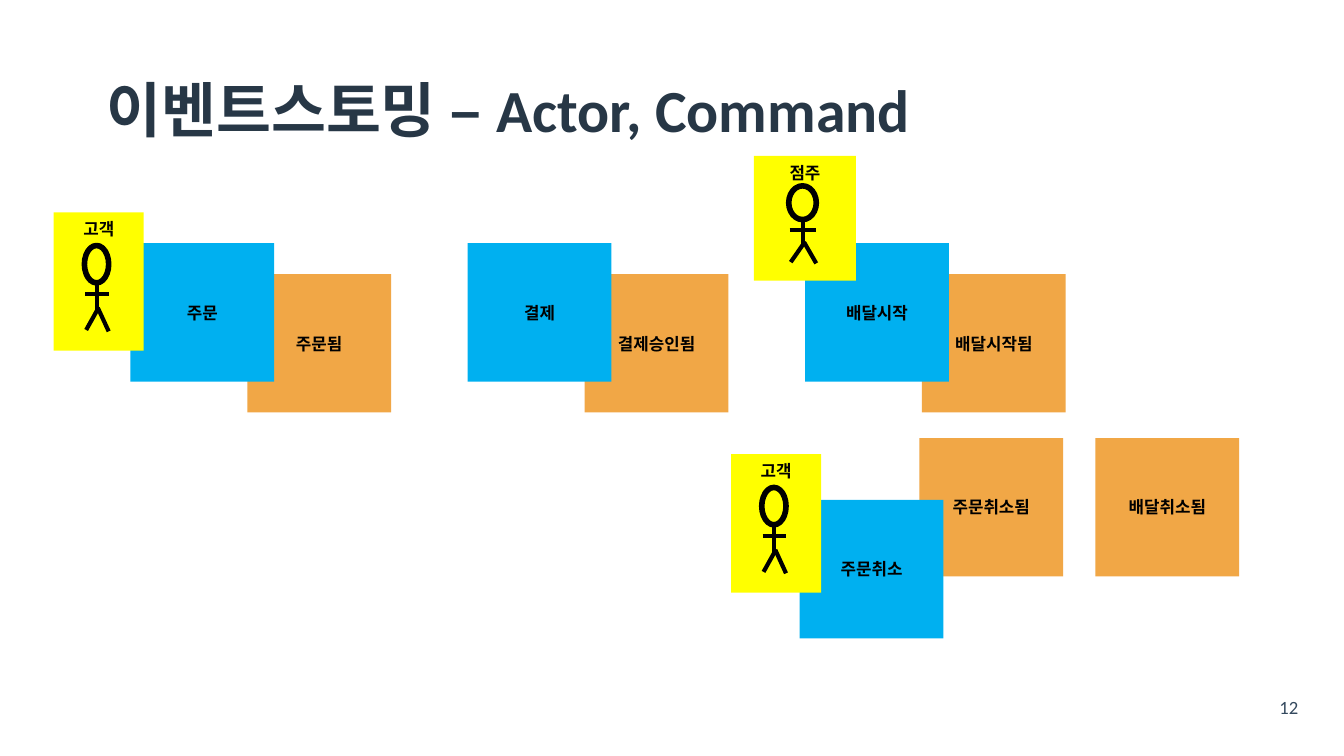
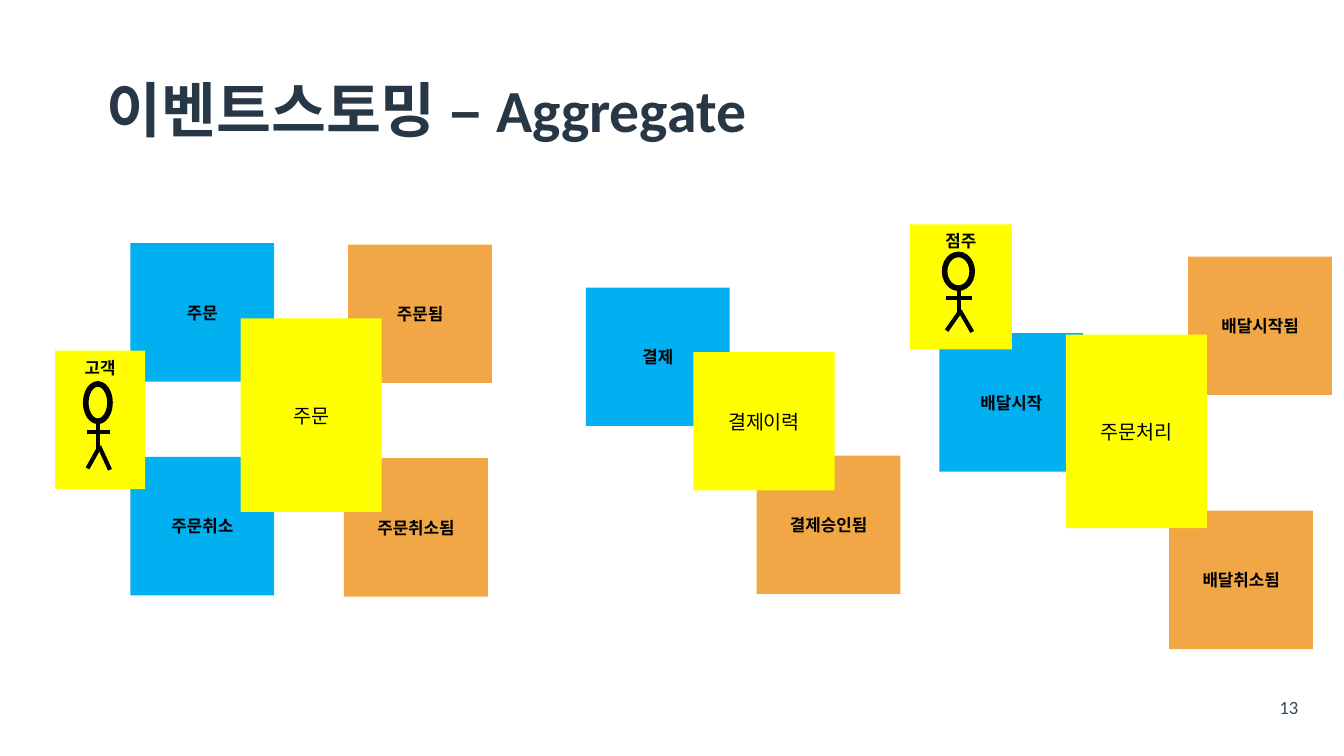
from dataclasses import dataclass

from lxml.etree import SubElement
from pptx import Presentation
from pptx.dml.color import RGBColor
from pptx.enum.shapes import MSO_CONNECTOR, MSO_SHAPE
from pptx.enum.text import MSO_ANCHOR, MSO_AUTO_SIZE, PP_ALIGN
from pptx.oxml.ns import qn
from pptx.presentation import Presentation as Deck
from pptx.shapes.shapetree import GroupShapes, SlideShapes
from pptx.slide import Slide
from pptx.text.text import _Paragraph as Paragraph
from pptx.util import Inches, Pt


@dataclass(frozen=True)
class Theme:
    ink: str = "000000"
    title_ink: str = "273746"
    number_ink: str = "34495E"
    event: str = "F1A746"
    command: str = "00B0F0"
    yellow: str = "FFFF00"
    latin: str = "Calibri"
    korean: str = "Noto Sans CJK KR"
    title_size: float = 32
    note_size: float = 9
    aggregate_size: float = 10.5
    number_size: float = 10
    head_line: float = 3
    limb_line: float = 2.25


THEME = Theme()


@dataclass(frozen=True)
class NoteStyle:
    fill: str
    width: float = 1.07
    height: float = 1.03
    size: float = THEME.note_size
    bold: bool = True
    anchor: MSO_ANCHOR = MSO_ANCHOR.MIDDLE
    figure: bool = False


@dataclass(frozen=True)
class Note:
    text: str
    left: float
    top: float
    style: NoteStyle


@dataclass(frozen=True)
class Board:
    title: str
    notes: list[Note]


FIRST_NUMBER = 12

EVENT = NoteStyle(THEME.event)
COMMAND = NoteStyle(THEME.command)
CUSTOMER = NoteStyle(THEME.yellow, 0.67, anchor=MSO_ANCHOR.TOP, figure=True)
OWNER = NoteStyle(THEME.yellow, 0.76, 0.93, anchor=MSO_ANCHOR.TOP, figure=True)
AGGREGATE = NoteStyle(THEME.yellow, 1.05, 1.44, THEME.aggregate_size, False)
SHORT_AGGREGATE = NoteStyle(THEME.yellow, 1.05, 1.03, THEME.aggregate_size, False)

HEAD = (0.34, 0.24, 0.27, 0.27)
LIMBS = [
    (0.35, 0.59, 0.61, 0.59),
    (0.48, 0.51, 0.48, 0.72),
    (0.48, 0.71, 0.36, 0.85),
    (0.49, 0.69, 0.61, 0.86),
]


def flow(labels: list[str], left: float, top: float, style: NoteStyle) -> list[Note]:
    return [Note(text, left + 2.51 * i, top, style) for i, text in enumerate(labels)]


BOARDS = [
    Board("이벤트스토밍 – Actor, Command", [
        *flow(["주문됨", "결제승인됨", "배달시작됨"], 1.84, 2.04, EVENT),
        Note("배달취소됨", 8.15, 3.26, EVENT),
        Note("주문취소됨", 6.84, 3.26, EVENT),
        *flow(["주문", "결제", "배달시작"], 0.97, 1.81, COMMAND),
        Note("주문취소", 5.95, 3.72, COMMAND),
        Note("고객", 0.4, 1.58, CUSTOMER),
        Note("점주", 5.61, 1.16, OWNER),
        Note("고객", 5.44, 3.38, CUSTOMER),
    ]),
    Board("이벤트스토밍 – Aggregate", [
        Note("주문됨", 2.59, 1.82, EVENT),
        Note("결제승인됨", 5.63, 3.39, EVENT),
        Note("배달시작됨", 8.84, 1.91, EVENT),
        Note("배달취소됨", 8.7, 3.8, EVENT),
        Note("주문취소됨", 2.56, 3.41, EVENT),
        Note("주문", 0.97, 1.81, COMMAND),
        Note("결제", 4.36, 2.14, COMMAND),
        Note("배달시작", 6.99, 2.48, COMMAND),
        Note("주문취소", 0.97, 3.4, COMMAND),
        Note("고객", 0.41, 2.61, CUSTOMER),
        Note("점주", 6.77, 1.67, OWNER),
        Note("주문", 1.79, 2.37, AGGREGATE),
        Note("결제이력", 5.16, 2.62, SHORT_AGGREGATE),
        Note("주문처리", 7.93, 2.49, AGGREGATE),
    ]),
]


def rgb(color: str) -> RGBColor:
    return RGBColor.from_string(color)


def add_run(
    p: Paragraph, text: str, font: str, size: float, color: str, bold: bool = False
) -> None:
    r = p.add_run()
    r.text = text
    r.font.name = font
    r.font.size = Pt(size)
    r.font.bold = bold
    r.font.color.rgb = rgb(color)
    SubElement(r.font._element, qn("a:ea")).set("typeface", THEME.korean)


def add_title(slide: Slide, text: str) -> None:
    s = slide.shapes.title
    s.left, s.top, s.width, s.height = (Inches(v) for v in (0.69, 0.3, 8.62, 1.09))
    tf = s.text_frame
    tf.auto_size = MSO_AUTO_SIZE.NONE
    tf.vertical_anchor = MSO_ANCHOR.MIDDLE
    p = tf.paragraphs[0]
    p.alignment = PP_ALIGN.LEFT
    p.line_spacing = 0.9
    add_run(p, text, THEME.latin, THEME.title_size, THEME.title_ink, True)


def add_number(slide: Slide, number: int) -> None:
    s = slide.shapes.add_textbox(Inches(9.31), Inches(5.21), Inches(0.56), Inches(0.26))
    tf = s.text_frame
    tf.word_wrap = True
    tf.auto_size = MSO_AUTO_SIZE.SHAPE_TO_FIT_TEXT
    tf.margin_left = tf.margin_right = Inches(0.15)
    tf.margin_top = tf.margin_bottom = Inches(0.07)
    p = tf.paragraphs[0]
    p.alignment = PP_ALIGN.CENTER
    p.line_spacing = 0.5
    add_run(p, str(number), THEME.latin, THEME.number_size, THEME.number_ink)


def add_box(shapes: SlideShapes | GroupShapes, note: Note) -> None:
    style = note.style
    s = shapes.add_shape(
        MSO_SHAPE.RECTANGLE, Inches(note.left), Inches(note.top),
        Inches(style.width), Inches(style.height),
    )
    s.shadow.inherit = False
    s.fill.solid()
    s.fill.fore_color.rgb = rgb(style.fill)
    s.line.fill.background()
    tf = s.text_frame
    tf.word_wrap = True
    tf.vertical_anchor = style.anchor
    p = tf.paragraphs[0]
    p.alignment = PP_ALIGN.CENTER
    add_run(p, note.text, THEME.korean, style.size, THEME.ink, style.bold)


def add_figure(shapes: GroupShapes, note: Note) -> None:
    def x(part: float) -> int:
        return Inches(note.left + part * note.style.width)

    def y(part: float) -> int:
        return Inches(note.top + part * note.style.height)

    left, top, width, height = HEAD
    s = shapes.add_shape(
        MSO_SHAPE.OVAL, x(left), y(top),
        x(left + width) - x(left), y(top + height) - y(top),
    )
    s.shadow.inherit = False
    s.fill.background()
    s.line.color.rgb = rgb(THEME.ink)
    s.line.width = Pt(THEME.head_line)
    for x1, y1, x2, y2 in LIMBS:
        c = shapes.add_connector(MSO_CONNECTOR.STRAIGHT, x(x1), y(y1), x(x2), y(y2))
        c.line.color.rgb = rgb(THEME.ink)
        c.line.width = Pt(THEME.limb_line)
        SubElement(c.element.spPr, qn("a:effectLst"))


def add_note(slide: Slide, note: Note) -> None:
    if note.style.figure:
        group = slide.shapes.add_group_shape()
        add_box(group.shapes, note)
        add_figure(group.shapes, note)
    else:
        add_box(slide.shapes, note)


def add_board(prs: Deck, board: Board, number: int) -> None:
    slide = prs.slides.add_slide(prs.slide_layouts[5])
    add_number(slide, number)
    add_title(slide, board.title)
    for note in board.notes:
        add_note(slide, note)


def main() -> None:
    prs = Presentation()
    prs.slide_width = Inches(10)
    prs.slide_height = Inches(10 * 9 / 16)
    for number, board in enumerate(BOARDS, FIRST_NUMBER):
        add_board(prs, board, number)
    prs.save("out.pptx")


if __name__ == "__main__":
    main()
